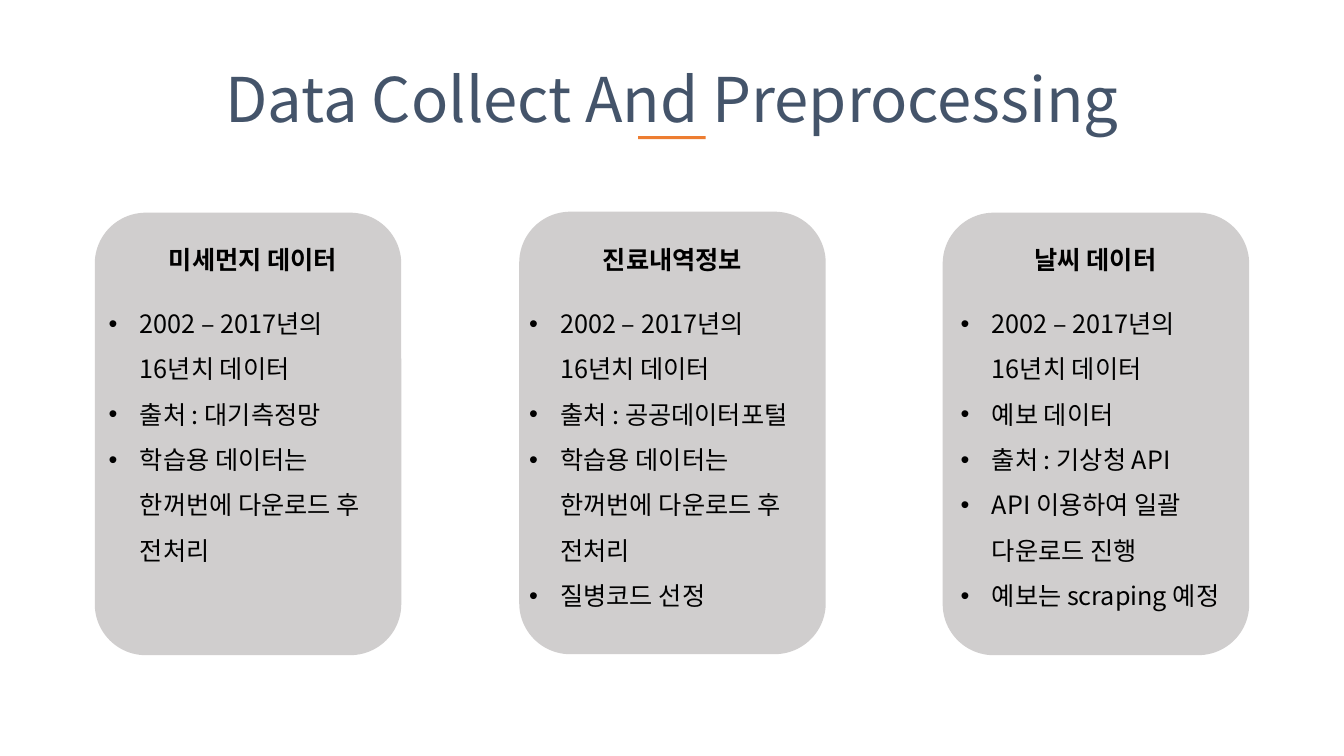
from lxml import etree
from pptx import Presentation
from pptx.dml.color import RGBColor
from pptx.enum.shapes import MSO_SHAPE
from pptx.enum.text import MSO_ANCHOR, MSO_AUTO_SIZE, PP_ALIGN
from pptx.oxml.ns import qn
from pptx.util import Inches, Pt

FONT = "Noto Sans CJK KR"
COLORS = {"title": "44546A", "accent": "ED7D31", "card": "D0CECE", "text": "000000"}
INDENT = Inches(0.31)

PERIOD = "2002 – 2017년의\n16년치 데이터"
TRAINING = "학습용 데이터는\n한꺼번에 다운로드 후\n전처리"

# Card left and top, heading with its left and width, bullets with their box
CARDS = [
    ((0.94, 2.11), "미세먼지 데이터", (1.48, 2.06),
     [PERIOD, "출처 : 대기측정망", TRAINING], (0.98, 2.97, 2.77)),
    ((5.15, 2.1), "진료내역정보", (5.81, 1.72),
     [PERIOD, "출처 : 공공데이터포털", TRAINING, "질병코드 선정"], (5.15, 3.02, 3.22)),
    ((9.35, 2.11), "날씨 데이터", (10.09, 1.55),
     [PERIOD, "예보 데이터", "출처 : 기상청 API", "API 이용하여 일괄\n다운로드 진행",
      "예보는 scraping 예정"], (9.43, 2.92, 3.22)),
]


def add_block(s, kind, left, top, width, height, color):
    sp = s.shapes.add_shape(kind, Inches(left), Inches(top), Inches(width), Inches(height))
    sp.shadow.inherit = False
    sp.fill.solid()
    sp.fill.fore_color.rgb = RGBColor.from_string(COLORS[color])
    sp.line.fill.background()


def add_text(s, left, top, width, height, wrap=False):
    sp = s.shapes.add_textbox(Inches(left), Inches(top), Inches(width), Inches(height))
    tf = sp.text_frame
    tf.word_wrap = wrap
    tf.auto_size = MSO_AUTO_SIZE.NONE if wrap else MSO_AUTO_SIZE.SHAPE_TO_FIT_TEXT
    return tf


def write(p, text, size=18, color="text", bold=False):
    p.text = text
    for r in p.runs:
        r.font.size = Pt(size)
        r.font.bold = bold
        r.font.name = FONT
        r.font.color.rgb = RGBColor.from_string(COLORS[color])
        etree.SubElement(r.font._element, qn("a:ea"), typeface=FONT)


def add_title(s, text):
    tf = add_text(s, 0.67, 0.64, 12, 0.76, wrap=True)
    tf.vertical_anchor = MSO_ANCHOR.MIDDLE
    p = tf.paragraphs[0]
    p.alignment = PP_ALIGN.CENTER
    p.line_spacing = 0.9
    write(p, text, 44, "title")


def add_heading(s, text, left, width):
    p = add_text(s, left, 2.37, width, 0.4).paragraphs[0]
    p.alignment = PP_ALIGN.CENTER
    write(p, text, bold=True)


def add_bullets(s, items, left, width, height):
    tf = add_text(s, left, 2.86, width, height)
    for i, item in enumerate(items):
        p = tf.add_paragraph() if i else tf.paragraphs[0]
        p.line_spacing = 1.5
        pPr = p._p.get_or_add_pPr()
        pPr.set("marL", str(INDENT))
        pPr.set("indent", str(-INDENT))
        etree.SubElement(pPr, qn("a:buFont"), typeface="Arial")
        etree.SubElement(pPr, qn("a:buChar"), char="•")
        write(p, item)


def main():
    prs = Presentation()
    prs.slide_width, prs.slide_height = Inches(13.33), Inches(7.5)
    s = prs.slides.add_slide(prs.slide_layouts[6])
    add_title(s, "Data Collect And Preprocessing")
    add_block(s, MSO_SHAPE.RECTANGLE, 6.33, 1.35, 0.67, 0.03, "accent")
    for corner, heading, heading_box, items, items_box in CARDS:
        add_block(s, MSO_SHAPE.ROUNDED_RECTANGLE, *corner, 3.04, 4.39, "card")
        add_heading(s, heading, *heading_box)
        add_bullets(s, items, *items_box)
    prs.save("out.pptx")


if __name__ == "__main__":
    main()
